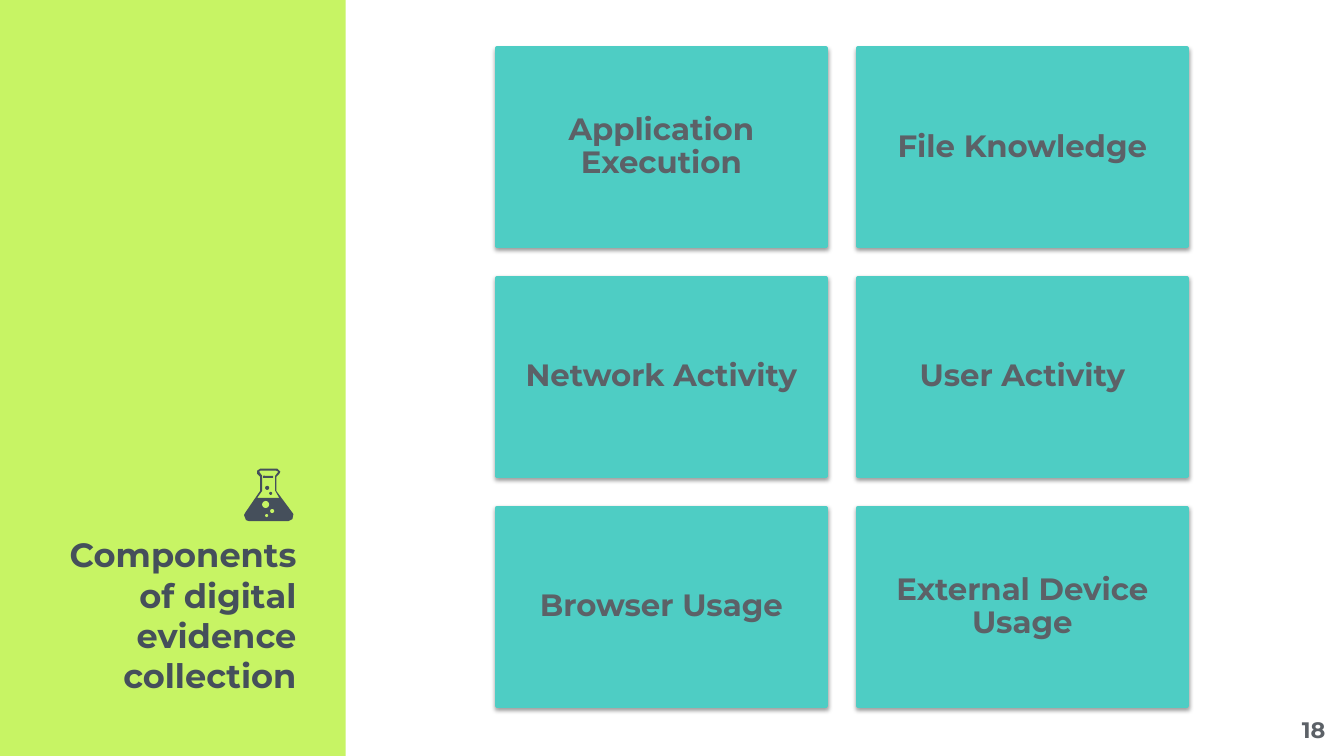
from lxml import etree
from pptx import Presentation
from pptx import util as u
from pptx.dml.color import RGBColor
from pptx.enum import shapes, text
from pptx.oxml import ns

LIME = RGBColor(0xC7, 0xF4, 0x64)
TEAL = RGBColor(0x4E, 0xCD, 0xC4)
SLATE = RGBColor(0x45, 0x4F, 0x5B)
GRAY = RGBColor(0x5C, 0x61, 0x67)
FONT = "Montserrat"
COMPONENTS = [
    ["Application Execution", "File Knowledge"],
    ["Network Activity", "User Activity"],
    ["Browser Usage", "External Device Usage"],
]
FLASK_RIM = [(16, 0), (33, 0), (36, 3), (35, 5), (32, 8), (32, 22), (49, 45),
             (48, 50), (44, 52), (5, 52), (2, 51), (0, 46), (1, 44), (16, 22),
             (16, 8), (13, 5), (13, 2)]
FLASK_HOLLOW = [(16, 1.5), (32, 1.5), (34, 3), (31, 7), (31, 22), (35, 29),
                (13, 29), (18, 22), (18, 7), (15, 3)]
BUBBLES = [(25, 23, 3, SLATE), (21, 17, 4, SLATE),
           (18, 32, 7, LIME), (26, 40, 4, LIME), (21, 45, 3, LIME)]


def paint(sp, color):
    sp.shadow.inherit = False
    sp.fill.solid()
    sp.fill.fore_color.rgb = color
    sp.line.fill.background()


def add_block(s, kind, box, color):
    sp = s.shapes.add_shape(kind, *[u.Inches(v) for v in box])
    paint(sp, color)
    return sp


def write(sp, words, size, color, align, anchor, inset=0.1):
    tf = sp.text_frame
    tf.word_wrap = True
    tf.auto_size = text.MSO_AUTO_SIZE.NONE
    tf.vertical_anchor = anchor
    tf.margin_left = tf.margin_right = u.Inches(inset)
    tf.margin_top = tf.margin_bottom = u.Inches(inset)
    p = tf.paragraphs[0]
    p.text = words
    p.alignment = align
    p.font.name = FONT
    p.font.size = u.Pt(size)
    p.font.bold = True
    p.font.color.rgb = color
    return p


def add_soft_shadow(sp):
    effects = sp._element.spPr.find(ns.qn("a:effectLst"))
    shadow = etree.SubElement(effects, ns.qn("a:outerShdw"), blurRad=str(u.Pt(3.1)),
                              dist=str(u.Pt(1.6)), dir="5400000", rotWithShape="0")
    color = etree.SubElement(shadow, ns.qn("a:srgbClr"), val="000000")
    etree.SubElement(color, ns.qn("a:alpha"), val="38000")


def add_flask(s, x, y, width):
    unit = width / 49
    fb = s.shapes.build_freeform(*FLASK_RIM[0], scale=u.Inches(unit))
    fb.add_line_segments(FLASK_RIM[1:])
    fb.move_to(*FLASK_HOLLOW[0])
    fb.add_line_segments(FLASK_HOLLOW[1:])
    paint(fb.convert_to_shape(u.Inches(x), u.Inches(y)), SLATE)
    add_block(s, shapes.MSO_SHAPE.ROUNDED_RECTANGLE,
              (x + 19 * unit, y + 7 * unit, 10 * unit, 2 * unit), SLATE)
    for left, top, size, color in BUBBLES:
        add_block(s, shapes.MSO_SHAPE.OVAL,
                  (x + left * unit, y + top * unit, size * unit, size * unit), color)


def add_title_panel(s, box):
    x, y, w, h = box
    title = s.shapes.title
    panel = add_block(s, shapes.MSO_SHAPE.RECTANGLE, box, LIME)
    title.element.addprevious(panel.element)
    title.left, title.top = u.Inches(x + 0.39), u.Inches(y + h - 2.59)
    title.width, title.height = u.Inches(w - 0.78), u.Inches(2.09)
    write(title, "Components of digital evidence collection", 24, SLATE,
          text.PP_ALIGN.RIGHT, text.MSO_ANCHOR.BOTTOM)
    add_flask(s, x + w - 1.01, y + h - 2.85, 0.49)


def add_component_grid(s, box, gap):
    x, y, w, h = box
    rows, cols = len(COMPONENTS), len(COMPONENTS[0])
    card_w = (w - gap * (cols - 1)) / cols
    card_h = (h - gap * (rows - 1)) / rows
    for i, row in enumerate(COMPONENTS):
        for j, name in enumerate(row):
            card = (x + j * (card_w + gap), y + i * (card_h + gap), card_w, card_h)
            sp = add_block(s, shapes.MSO_SHAPE.RECTANGLE, card, TEAL)
            sp.line.color.rgb = TEAL
            sp.line.width = u.Pt(3)
            add_soft_shadow(sp)
            p = write(sp, name, 22, GRAY, text.PP_ALIGN.CENTER,
                      text.MSO_ANCHOR.MIDDLE, 0.09)
            p.line_spacing = 0.9


def add_page_number(s, box, number):
    sp = s.shapes.add_textbox(*[u.Inches(v) for v in box])
    write(sp, number, 16, GRAY, text.PP_ALIGN.CENTER, text.MSO_ANCHOR.TOP)


def main():
    prs = Presentation()
    prs.slide_width, prs.slide_height = u.Inches(13.33), u.Inches(7.5)
    s = prs.slides.add_slide(prs.slide_layouts[5])
    add_title_panel(s, (0, 0, 3.43, 7.5))
    add_component_grid(s, (4.93, 0.48, 6.84, 6.52), 0.32)
    add_page_number(s, (12.73, 7, 0.6, 0.5), "18")
    prs.save("out.pptx")


if __name__ == "__main__":
    main()
